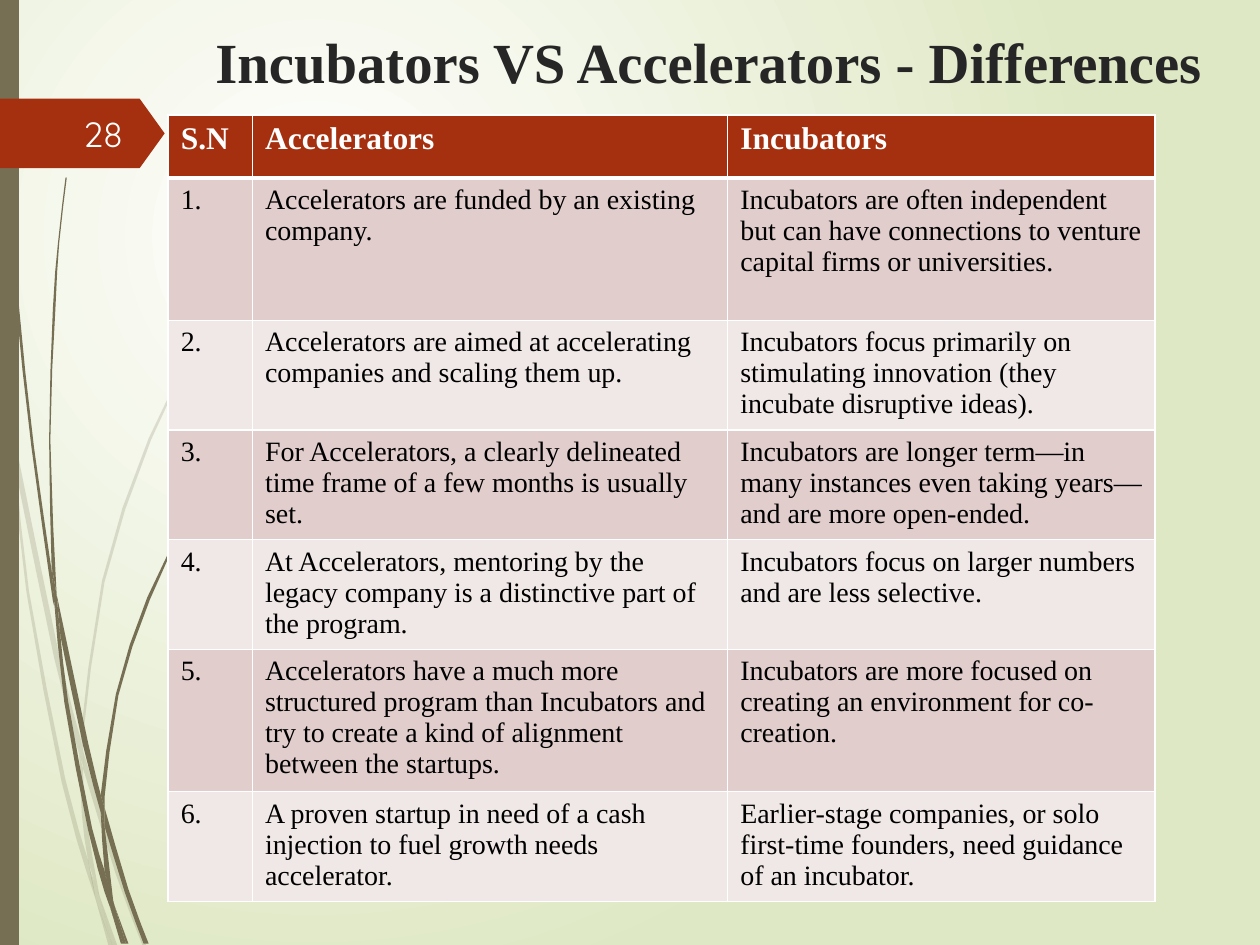
"""Build the slide comparing incubators and accelerators."""
import lxml.etree
import pptx
import pptx.dml.color
import pptx.enum.shapes
import pptx.enum.text
import pptx.oxml
import pptx.oxml.ns
import pptx.util

Cm = pptx.util.Cm
qn = pptx.oxml.ns.qn
OLIVE, RUST, WHITE = "766F54", "A53010", "FFFFFF"
SERIF = "Times New Roman"


def paint(color, value):
    color.rgb = pptx.dml.color.RGBColor.from_string(value)


def smooth(points, steps=2):
    """Return a Catmull-Rom curve through the points."""
    if len(points) < 3:
        return points
    padded = [points[0], *points, points[-1]]
    curve = [points[0]]
    for before, start, end, after in zip(padded, padded[1:], padded[2:], padded[3:]):
        for step in range(1, steps + 1):
            t = step / steps
            curve.append(tuple(
                (2 * b + (c - a) * t + (2 * a - 5 * b + 4 * c - d) * t ** 2
                 + (3 * b - a - 3 * c + d) * t ** 3) / 2
                for a, b, c, d in zip(before, start, end, after)))
    return curve


deck = pptx.Presentation()
deck.slide_width, deck.slide_height = Cm(25.4), Cm(19.05)
page = deck.slides.add_slide(deck.slide_layouts[6])

backdrop = page.background.fill
backdrop.gradient()
for stop, value, position in zip(backdrop.gradient_stops, (WHITE, "DFE8C4"), (0, 1)):
    paint(stop.color, value)
    stop.position = position
gradient = page.element.find(".//" + qn("a:gradFill"))
gradient.remove(gradient.find(qn("a:lin")))
circle = lxml.etree.SubElement(gradient, qn("a:path"), path="circle")
lxml.etree.SubElement(circle, qn("a:fillToRect"), l="50000", t="50000", r="100000", b="100000")

pale_blades = [
    ([(8, 350), (6, 322), (0, 282)], [(0, 299), (8, 344)]),
    ([(11, 345), (47, 520), (64, 586)], [(63, 599), (43, 522), (13, 376)]),
    ([(66, 596), (95, 692), (116, 750)], [(113, 750), (92, 694), (66, 610)]),
    ([(79, 711), (93, 750)], [(89, 750)]),
    ([(8, 350), (13, 376), (23, 469), (52, 619), (70, 683), (76, 714)],
     [(69, 693), (49, 621), (21, 470), (8, 350)]),
    ([(63, 599), (65, 646), (70, 683), (79, 711)], [(79, 711), (68, 646), (66, 610)]),
    ([(66, 584), (83, 462), (120, 349), (171, 245), (201, 198), (234, 154)],
     [(234, 153), (201, 197), (171, 244), (118, 348), (81, 461), (64, 584)], [(66, 596)]),
    ([(76, 714), (86, 750)], [(89, 750)]),
    ([(66, 608), (66, 596)], [(64, 586), (63, 599)]),
    ([(70, 683), (76, 714), (89, 750)], [(79, 711), (72, 692)]),
]
dark_blades = [
    ([(3, 0), (3, 48), (6, 109), (14, 232), (27, 355), (41, 453), (43, 481)],
     [(42, 477), (25, 355), (12, 233), (5, 110), (3, 48), (2, 0)]),
    ([(45, 472), (70, 590), (80, 631)], [(80, 645), (66, 592), (48, 505)]),
    ([(83, 641), (102, 706), (118, 749)], [(114, 749), (99, 708), (83, 656)]),
    ([(43, 477), (48, 505), (54, 556), (73, 657), (83, 691), (88, 722)],
     [(83, 708), (70, 659), (51, 557), (43, 477)]),
    ([(45, 472), (40, 349), (44, 245), (47, 193), (53, 141)],
     [(52, 141), (46, 193), (42, 245), (39, 349), (41, 449)]),
    ([(91, 719), (102, 749)], [(100, 749)]),
    ([(43, 477), (48, 505)], [(45, 472), (41, 449)], [(41, 453)]),
    ([(83, 633), (94, 552), (119, 476), (153, 406), (196, 344)],
     [(195, 344), (153, 405), (117, 474), (92, 551), (80, 631)], [(83, 641)]),
    ([(88, 722), (98, 749)], [(96, 749)]),
    ([(80, 645), (83, 691), (91, 719)], [(90, 716), (83, 656)]),
    ([(80, 631), (83, 641)], [(83, 656), (80, 645)]),
    ([(83, 691), (88, 722), (98, 749)], [(100, 749), (91, 719)]),
]
for blades, alpha in ((pale_blades, "20000"), (dark_blades, "100000")):
    for sides in blades:
        outline = [(x * 10, y * 10) for side in sides for x, y in smooth(side)]
        builder = page.shapes.build_freeform(*outline[0], scale=Cm(2.54) / 1000)
        builder.add_line_segments(outline[1:], close=True)
        blade = builder.convert_to_shape()
        blade.shadow.inherit = False
        blade.line.fill.background()
        blade.fill.solid()
        paint(blade.fill.fore_color, OLIVE)
        tint = blade.element.spPr.find(".//" + qn("a:srgbClr"))
        lxml.etree.SubElement(tint, qn("a:alpha"), val=alpha)

kinds = pptx.enum.shapes.MSO_SHAPE
for kind, top, width, height, value in (
        (kinds.RECTANGLE, 0, 0.38, 19.05, OLIVE),
        (kinds.PENTAGON, 1.99, 3.32, 1.4, RUST)):
    shape = page.shapes.add_shape(kind, 0, Cm(top), Cm(width), Cm(height))
    shape.shadow.inherit = False
    shape.line.fill.background()
    shape.fill.solid()
    paint(shape.fill.fore_color, value)
    if kind == kinds.PENTAGON:
        shape.adjustments[0] = 0.36

align, anchor = pptx.enum.text.PP_ALIGN, pptx.enum.text.MSO_ANCHOR
for text, place, side, level, size, font, value, bold in (
        ("Incubators VS Accelerators - Differences", (3.81, 0.41, 20.96, 1.65),
         align.CENTER, anchor.TOP, 32.4, SERIF, "262626", True),
        ("28", (1.1, 2.18, 1.63, 1.02),
         align.RIGHT, anchor.MIDDLE, 20, "Quicksand", "FEFFFF", False)):
    box = page.shapes.add_textbox(*map(Cm, place))
    box.text_frame.word_wrap = True
    box.text_frame.vertical_anchor = level
    box.text_frame.text = text
    para = box.text_frame.paragraphs[0]
    para.alignment = side
    span = para.runs[0]
    span.font.size, span.font.name, span.font.bold = pptx.util.Pt(size), font, bold
    paint(span.font.color, value)

rows = [
    ("S.N", "Accelerators", "Incubators"),
    ("1.", "Accelerators are funded by an existing company.",
     "Incubators are often independent but can have connections to venture capital firms "
     "or universities."),
    ("2.", "Accelerators are aimed at accelerating companies and scaling them up.",
     "Incubators focus primarily on stimulating innovation (they incubate disruptive ideas)."),
    ("3.", "For Accelerators, a clearly delineated time frame of a few months is usually set.",
     "Incubators are longer term—in many instances even taking years—and are more open-ended."),
    ("4.", "At Accelerators, mentoring by the legacy company is a distinctive part of the program.",
     "Incubators focus on larger numbers and are less selective."),
    ("5.", "Accelerators have a much more structured program than Incubators and try to create "
     "a kind of alignment between the startups.",
     "Incubators are more focused on creating an environment for co-creation."),
    ("6.", "A proven startup in need of a cash injection to fuel growth needs accelerator.",
     "Earlier-stage companies, or solo first-time founders, need guidance of an incubator."),
]
widths = (1.7, 9.58, 8.61)
heights = (1.27, 2.87, 2.21, 2.21, 2.21, 2.87, 2.21)
table = page.shapes.add_table(len(rows), len(widths), Cm(3.39), Cm(2.32),
                              Cm(sum(widths)), Cm(sum(heights))).table
for column, width in zip(table.columns, widths):
    column.width = Cm(width)
for index, (texts, height) in enumerate(zip(rows, heights)):
    table.rows[index].height = Cm(height)
    header = index == 0
    shade = RUST if header else ("F0E8E7", "E1CDCC")[index % 2]
    for number, text in enumerate(texts):
        cell = table.cell(index, number)
        cell.margin_bottom = Cm(0)
        cell.text_frame.text = text
        cell.fill.solid()
        paint(cell.fill.fore_color, shade)
        span = cell.text_frame.paragraphs[0].runs[0]
        span.font.name, span.font.bold = SERIF, header
        span.font.size = pptx.util.Pt(18 if header else 16)
        paint(span.font.color, WHITE if header else "000000")
        properties = cell._tc.get_or_add_tcPr()
        for order, edge in enumerate(("lnL", "lnR", "lnT", "lnB")):
            thick = (header and edge == "lnB") or (index == 1 and edge == "lnT")
            weight = pptx.util.Pt(3 if thick else 1)
            border = properties.makeelement(qn("a:" + edge), {"w": str(weight)})
            stroke = lxml.etree.SubElement(border, qn("a:solidFill"))
            lxml.etree.SubElement(stroke, qn("a:srgbClr"), val=WHITE)
            properties.insert(order, border)

deck.save("out.pptx")
